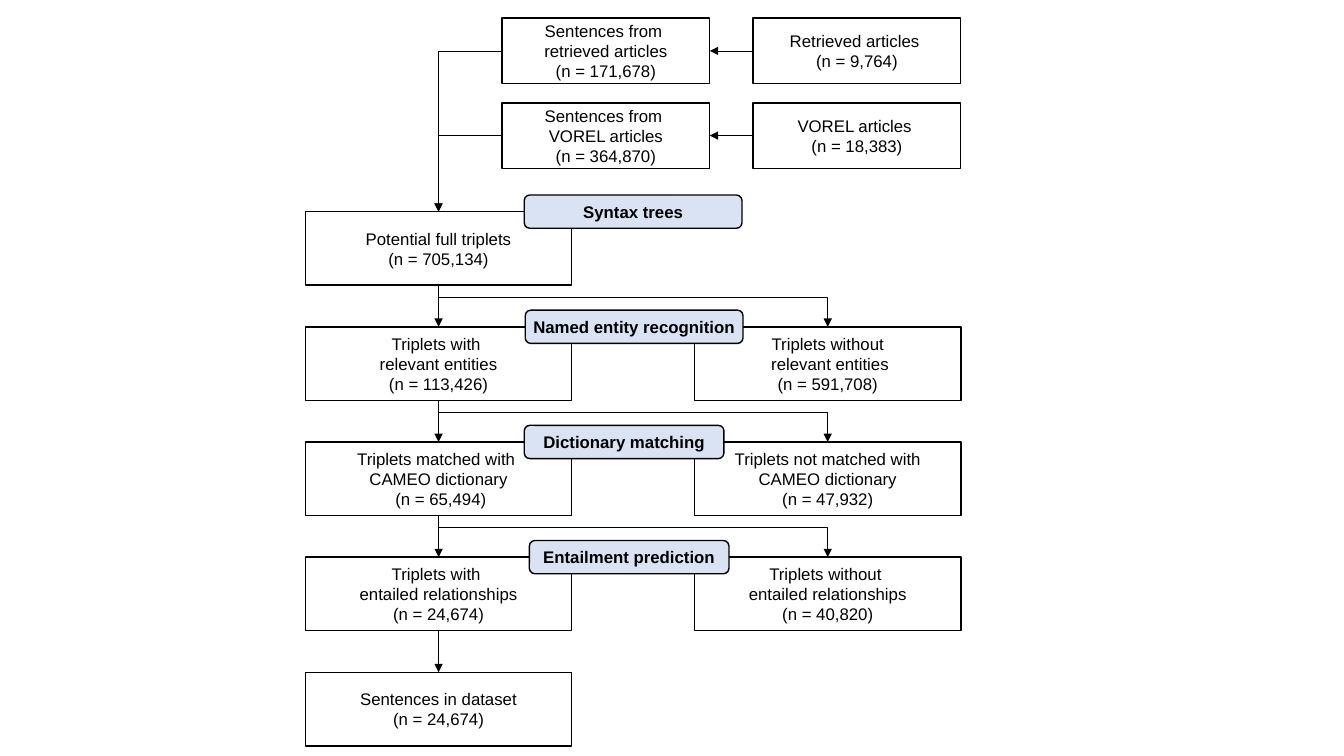
from dataclasses import dataclass

from lxml.etree import SubElement
from pptx import Presentation
from pptx.dml.color import RGBColor
from pptx.enum.shapes import MSO_CONNECTOR, MSO_SHAPE
from pptx.enum.text import MSO_ANCHOR, PP_ALIGN
from pptx.oxml.ns import qn
from pptx.util import Inches, Pt

COLORS = {"ink": "000000", "box": "FFFFFF", "step": "DAE3F3"}


@dataclass
class Grid:
    left: float
    top: float
    column_pitch: float
    row_pitch: float
    width: float
    height: float

    def cell(self, column, row):
        return (self.left + column * self.column_pitch,
                self.top + row * self.row_pitch, self.width, self.height)


SOURCES = Grid(4.98, 0.18, 2.49, 0.84, 2.06, 0.65)
STAGES = Grid(3.03, 2.1, 3.86, 4.57 / 4, 2.64, 0.73)
TOP, LEFT, BOTTOM, RIGHT = range(4)
BRANCH_DROP = 0.12


class FlowSlide:
    font_name = "Arial"
    font_size = Pt(12)
    outline = Pt(1)
    arrow_width = Pt(0.5)

    def __init__(self, slide):
        self.slide = slide

    def block(self, kind, frame, fill, paragraphs, bold=False):
        block = self.slide.shapes.add_shape(kind, *map(Inches, frame))
        block.shadow.inherit = False
        block.fill.solid()
        block.fill.fore_color.rgb = RGBColor.from_string(COLORS[fill])
        block.line.color.rgb = RGBColor.from_string(COLORS["ink"])
        block.line.width = self.outline
        text = block.text_frame
        text.word_wrap = True
        text.vertical_anchor = MSO_ANCHOR.MIDDLE
        for index, content in enumerate(paragraphs):
            paragraph = text.add_paragraph() if index else text.paragraphs[0]
            paragraph.text = content
            paragraph.alignment = PP_ALIGN.CENTER
            paragraph.font.name = self.font_name
            paragraph.font.size = self.font_size
            paragraph.font.bold = bold
            paragraph.font.color.rgb = RGBColor.from_string(COLORS["ink"])
        return block

    def box(self, grid, column, row, *paragraphs):
        return self.block(MSO_SHAPE.RECTANGLE, grid.cell(column, row), "box", paragraphs)

    def step(self, row, left, width, label):
        height = 0.33
        top = STAGES.cell(0, row)[1] - height / 2
        step = self.block(MSO_SHAPE.ROUNDED_RECTANGLE, (left, top, width, height),
                          "step", [label], bold=True)
        step.text_frame.margin_left = step.text_frame.margin_right = 0

    def arrow(self, start, start_side, end, end_side, kind=MSO_CONNECTOR.STRAIGHT):
        arrow = self.slide.shapes.add_connector(kind, 0, 0, 0, 0)
        arrow.begin_connect(start, start_side)
        arrow.end_connect(end, end_side)
        arrow.line.color.rgb = RGBColor.from_string(COLORS["ink"])
        arrow.line.width = self.arrow_width
        properties = arrow.element.find(qn("p:spPr"))
        SubElement(properties.find(qn("a:ln")), qn("a:tailEnd"), type="triangle")
        SubElement(properties, qn("a:effectLst"))
        return arrow, properties.find(qn("a:xfrm")), properties.find(qn("a:prstGeom"))

    def corner(self, start, end):
        _, _, geometry = self.arrow(start, LEFT, end, TOP, MSO_CONNECTOR.ELBOW)
        geometry.set("prst", "bentConnector2")

    def branch(self, start, end):
        arrow, transform, geometry = self.arrow(start, BOTTOM, end, TOP, MSO_CONNECTOR.ELBOW)
        across, down = arrow.width, arrow.height
        arrow.left += (across - down) // 2
        arrow.top -= (across - down) // 2
        arrow.width, arrow.height = down, across
        transform.set("rot", str(270 * 60000))
        transform.set("flipH", "1")
        share = round(Inches(BRANCH_DROP) / down * 100000)
        SubElement(geometry.find(qn("a:avLst")), qn("a:gd"), name="adj1", fmla=f"val {share}")


def main():
    presentation = Presentation()
    presentation.slide_width, presentation.slide_height = Inches(13.33), Inches(7.5)
    flow = FlowSlide(presentation.slides.add_slide(presentation.slide_layouts[6]))

    sources = [
        (("Sentences from \nretrieved articles", "(n = 171,678)"),
         ("Retrieved articles ", "(n = 9,764)")),
        (("Sentences from \nVOREL articles", "(n = 364,870)"),
         ("VOREL articles ", "(n = 18,383)")),
    ]
    stages = [
        [("Potential full triplets", "(n = 705,134)")],
        [("Triplets with \nrelevant entities", "(n = 113,426)"),
         ("Triplets without\n relevant entities", "(n = 591,708)")],
        [("Triplets matched with \nCAMEO dictionary\n (n = 65,494)",),
         ("Triplets not matched with CAMEO dictionary\n(n = 47,932)",)],
        [("Triplets with \nentailed relationships", "(n = 24,674)"),
         ("Triplets without \nentailed relationships", "(n = 40,820)")],
        [("Sentences in dataset", "(n = 24,674)")],
    ]
    steps = [
        (5.2, 2.16, "Syntax trees"),
        (5.21, 2.16, "Named entity recognition"),
        (5.2, 1.98, "Dictionary matching"),
        (5.25, 1.98, "Entailment prediction"),
    ]

    source_boxes, stage_boxes = [
        [[flow.box(grid, column, row, *paragraphs) for column, paragraphs in enumerate(cells)]
         for row, cells in enumerate(rows)]
        for grid, rows in ((SOURCES, sources), (STAGES, stages))
    ]

    for sentences, articles in source_boxes:
        flow.arrow(articles, LEFT, sentences, RIGHT)
        flow.corner(sentences, stage_boxes[0][0])
    for (kept, *_), (next_kept, *dropped) in zip(stage_boxes, stage_boxes[1:]):
        flow.arrow(kept, BOTTOM, next_kept, TOP)
        for rejected in dropped:
            flow.branch(kept, rejected)
    for row, (left, width, label) in enumerate(steps):
        flow.step(row, left, width, label)

    presentation.save("out.pptx")


if __name__ == "__main__":
    main()
